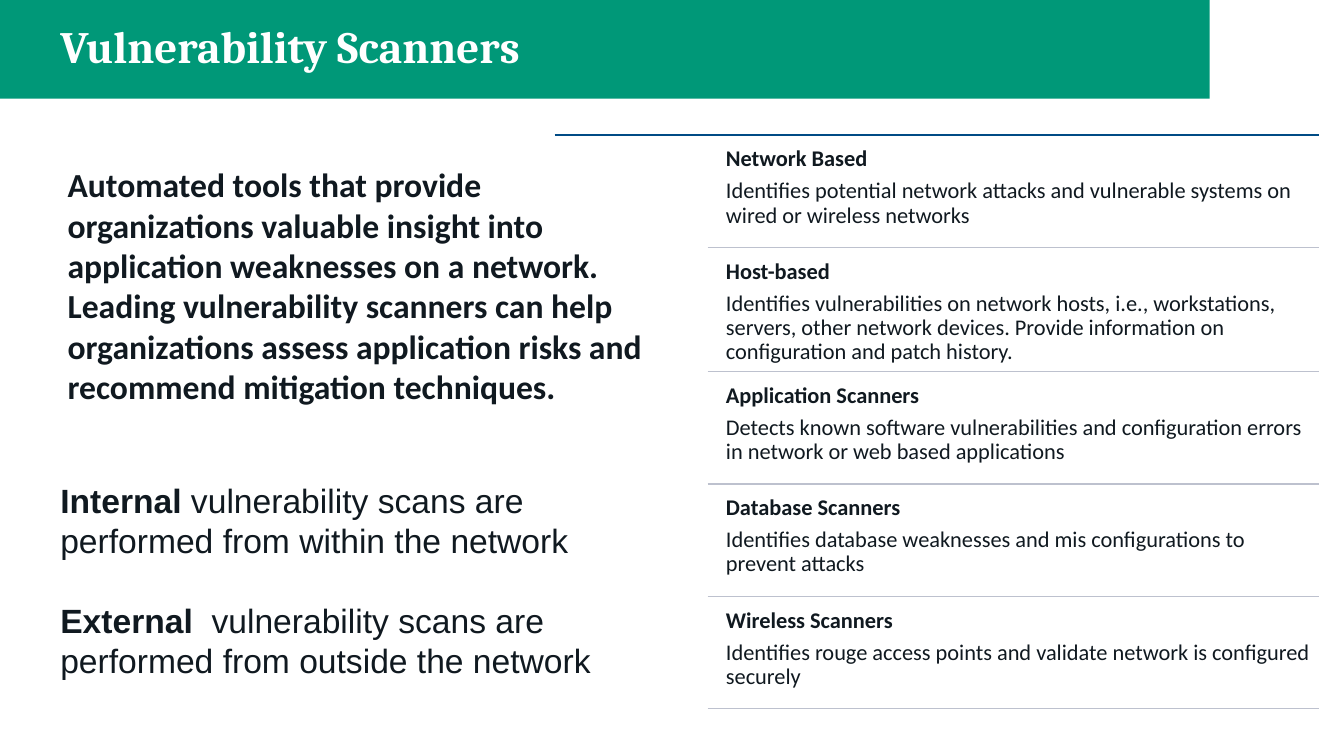
import lxml.etree
import pptx
import pptx.dml.color
import pptx.enum.shapes
import pptx.enum.text
import pptx.oxml.ns
import pptx.util

COLORS = {
    "band": "009878",
    "ink": "101920",
    "title": "FFFFFF",
    "lead_rule": "004B85",
    "rule": "BDC1CE",
}

INTRO = (
    "Automated tools that provide organizations valuable insight into "
    "application weaknesses on a network. Leading vulnerability scanners can "
    "help organizations assess application risks and recommend mitigation "
    "techniques."
)

SCANS = [
    ("Internal", " vulnerability scans are performed from within the network"),
    ("External", "  vulnerability scans are performed from outside the network"),
]

# Name, description, row height in percent of the slide
SCANNERS = [
    ("Network Based",
     "Identifies potential network attacks and vulnerable systems on wired or "
     "wireless networks", 14.87),
    ("Host-based",
     "Identifies vulnerabilities on network hosts, i.e., workstations, servers, "
     "other network devices. Provide information on configuration and patch "
     "history.", 16.4),
    ("Application Scanners",
     "Detects known software vulnerabilities and configuration errors in "
     "network or web based applications", 14.87),
    ("Database Scanners",
     "Identifies database weaknesses and mis configurations to prevent attacks",
     14.87),
    ("Wireless Scanners",
     "Identifies rouge access points and validate network is configured "
     "securely", 14.87),
]


class Deck:
    """Style and current slide; lengths are percent of the slide's size."""

    def __init__(self):
        self.prs = pptx.Presentation()
        self.prs.slide_width = pptx.util.Inches(13.33)
        self.prs.slide_height = pptx.util.Inches(7.5)
        self.s = self.prs.slides.add_slide(self.prs.slide_layouts[1])

    def x(self, share):
        return round(self.prs.slide_width * share / 100)

    def y(self, share):
        return round(self.prs.slide_height * share / 100)

    def box(self, left, top, width, height):
        return self.x(left), self.y(top), self.x(width), self.y(height)

    def color(self, name):
        return pptx.dml.color.RGBColor.from_string(COLORS[name])

    def band(self, *area):
        sp = self.s.shapes.add_shape(
            pptx.enum.shapes.MSO_SHAPE.RECTANGLE, *self.box(*area))
        sp.shadow.inherit = False
        sp.fill.solid()
        sp.fill.fore_color.rgb = self.color("band")
        sp.line.fill.background()
        self.s.shapes.element.insert(2, sp.element)  # behind the placeholders

    def placeholder(self, sp, *area):
        sp.left, sp.top, sp.width, sp.height = self.box(*area)
        tf = sp.text_frame
        tf.auto_size = pptx.enum.text.MSO_AUTO_SIZE.NONE
        p = tf.paragraphs[0]
        p.alignment = pptx.enum.text.PP_ALIGN.LEFT
        p.space_before = pptx.util.Pt(0)
        pPr = p._p.get_or_add_pPr()
        pPr.set("marL", "0")
        pPr.set("indent", "0")
        lxml.etree.SubElement(pPr, pptx.oxml.ns.qn("a:buNone"))
        return tf

    def text_box(self, *area, inset=None):
        tf = self.s.shapes.add_textbox(*self.box(*area)).text_frame
        tf.word_wrap = True
        if inset is not None:
            tf.margin_left = tf.margin_right = pptx.util.Inches(inset)
            tf.margin_top = tf.margin_bottom = pptx.util.Inches(inset)
        return tf

    def paragraph(self, tf, first):
        return tf.paragraphs[0] if first else tf.add_paragraph()

    def run(self, p, text, size, font, bold=False, color="ink"):
        r = p.add_run()
        r.text = text
        r.font.size = pptx.util.Pt(size)
        r.font.name = font
        r.font.bold = bold
        r.font.color.rgb = self.color(color)

    def rule(self, left, right, top, color):
        line = self.s.shapes.add_connector(
            pptx.enum.shapes.MSO_CONNECTOR.STRAIGHT,
            self.x(left), self.y(top), self.x(right), self.y(top))
        line.line.color.rgb = self.color(color)
        line.line.width = pptx.util.Pt(1)
        lxml.etree.SubElement(line.element.spPr, pptx.oxml.ns.qn("a:effectLst"))

    def scanner(self, name, description, top, height):
        gap = 0.73
        tf = self.text_box(53.49, top + gap, 44.64, height - gap, inset=0.07)
        for i, text in enumerate((name, description)):
            p = self.paragraph(tf, i == 0)
            p.line_spacing = 0.9
            p.space_after = pptx.util.Pt(5.6)
            self.run(p, text, 16, "Calibri", bold=i == 0)


def main():
    deck = Deck()

    # Title on its band
    deck.band(0, 0, 90, 13.07)
    tf = deck.placeholder(deck.s.shapes.title, 3.75, 0, 86.27, 13.07)
    tf.vertical_anchor = pptx.enum.text.MSO_ANCHOR.MIDDLE
    tf.paragraphs[0].line_spacing = 0.9
    deck.run(tf.paragraphs[0], "Vulnerability Scanners", 32, "Cambria", True, "title")

    # Introduction
    tf = deck.placeholder(deck.s.placeholders[1], 4.28, 21.07, 45.9, 49.87)
    deck.run(tf.paragraphs[0], INTRO, 24, "Calibri", True)

    # Scanner types, each closed by a rule
    right, top = 98.12, 17.87
    deck.rule(41.26, right, top, "lead_rule")
    for name, description, height in SCANNERS:
        deck.scanner(name, description, top, height)
        top += height
        deck.rule(52.66, right, top, "rule")

    # Internal and external scans
    tf = deck.text_box(3.75, 62.8, 42.76, 28.27)
    for i, (kind, text) in enumerate(SCANS):
        p = deck.paragraph(tf, i == 0)
        p.space_before = pptx.util.Pt(28 * i)
        deck.run(p, kind, 24, "Arial", True)
        deck.run(p, text, 24, "Arial")

    deck.prs.save("out.pptx")


if __name__ == "__main__":
    main()
